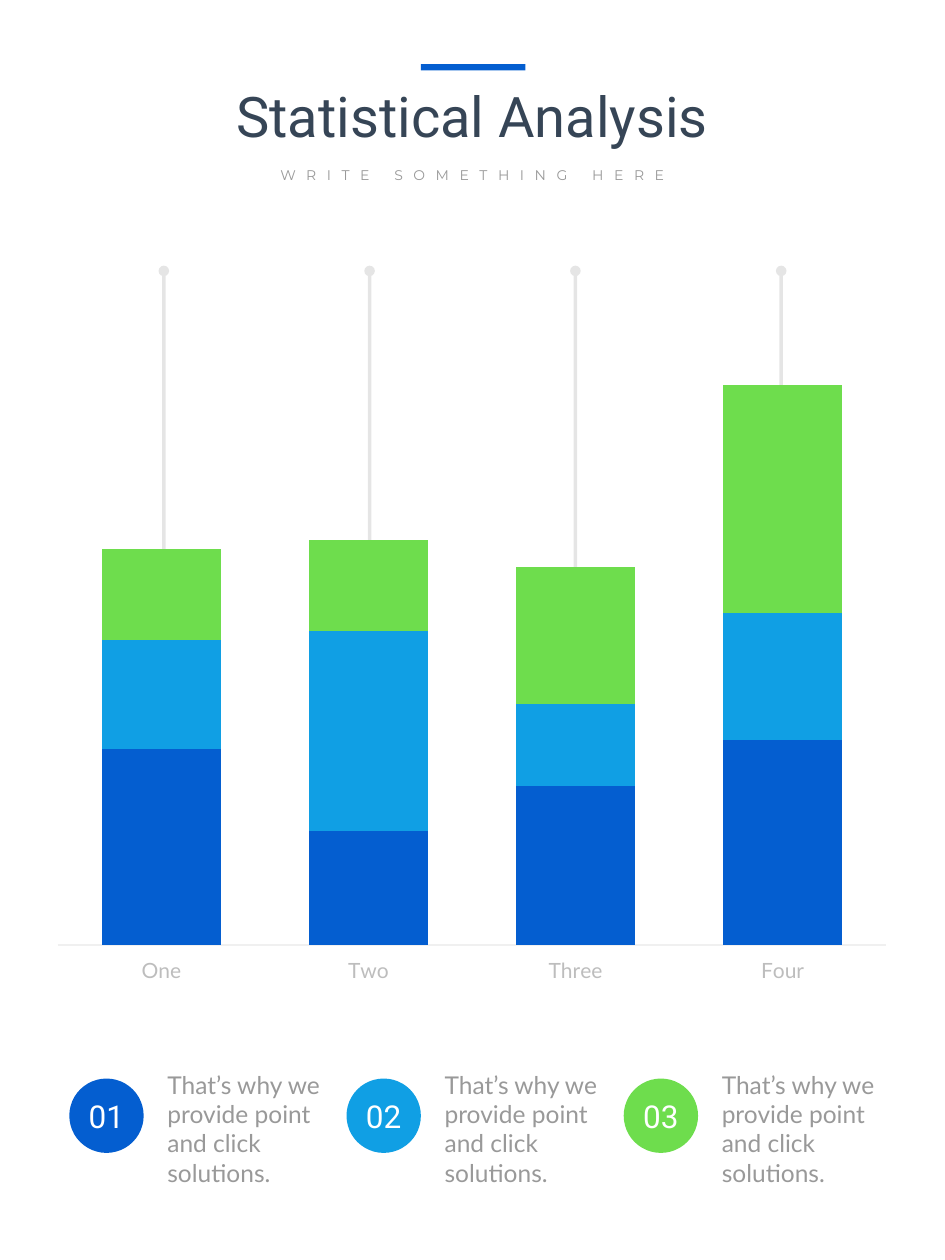
from typing import NamedTuple

from lxml import etree
from pptx import Presentation
from pptx.chart.data import CategoryChartData
from pptx.dml.color import RGBColor
from pptx.enum.chart import XL_CHART_TYPE, XL_TICK_LABEL_POSITION, XL_TICK_MARK
from pptx.enum.shapes import MSO_CONNECTOR, MSO_SHAPE
from pptx.enum.text import MSO_ANCHOR, MSO_AUTO_SIZE, PP_ALIGN
from pptx.oxml import parse_xml
from pptx.oxml.ns import nsdecls, qn
from pptx.util import Inches, Pt

STACKED = XL_CHART_TYPE.COLUMN_STACKED
NO_TICK = XL_TICK_MARK.NONE
LABELS_LOW = XL_TICK_LABEL_POSITION.LOW
STRAIGHT = MSO_CONNECTOR.STRAIGHT
RECTANGLE, OVAL = MSO_SHAPE.RECTANGLE, MSO_SHAPE.OVAL
TOP = MSO_ANCHOR.TOP
FIT_SHAPE = MSO_AUTO_SIZE.SHAPE_TO_FIT_TEXT
LEFT, CENTER = PP_ALIGN.LEFT, PP_ALIGN.CENTER

COLORS = {
    "title": "364556",
    "text": "999999",
    "label": "BDBDBD",
    "axis": "F0F0F0",
    "pin": "808080",
    "white": "FFFFFF",
    "blue": "045ED0",
    "sky": "109FE4",
    "green": "6EDD4D",
}


class Box(NamedTuple):
    left: float
    top: float
    width: float
    height: float

    def lengths(self):
        return [Inches(value) for value in self]


class TextStyle(NamedTuple):
    font: str
    size: float
    color: str
    alignment: PP_ALIGN = CENTER


class Series(NamedTuple):
    name: str
    values: tuple[int, ...]
    color: str


TITLE = TextStyle("Roboto", 32, "title")
SUBTITLE = TextStyle("Montserrat", 8, "text")
NUMBER = TextStyle("Roboto", 18, "white")
NOTE = TextStyle("Lato", 14, "text", LEFT)

CATEGORIES = ("One", "Two", "Three", "Four")
SERIES = (
    Series("Series 1", (86, 50, 70, 90), "blue"),
    Series("Series 2", (48, 88, 36, 56), "sky"),
    Series("Series 3", (40, 40, 60, 100), "green"),
)
NOTE_TEXT = "That’s why we provide point and click solutions."
FIRST_PIN, LAST_PIN = 1.3, 6.2
PIN_PITCH = (LAST_PIN - FIRST_PIN) / (len(CATEGORIES) - 1)
LEGEND_LEFT, LEGEND_PITCH = 0.55, 2.2


def rgb(name: str) -> RGBColor:
    return RGBColor.from_string(COLORS[name])


def style_font(font, style: TextStyle) -> None:
    font.name = style.font
    font.size = Pt(style.size)
    font.color.rgb = rgb(style.color)


def write_text(shape, text: str, style: TextStyle):
    frame = shape.text_frame
    frame.word_wrap = True
    frame.auto_size = FIT_SHAPE
    frame.vertical_anchor = TOP
    paragraph = frame.paragraphs[0]
    paragraph.text = text
    paragraph.alignment = style.alignment
    paragraph.space_before = Pt(0)
    style_font(paragraph.font, style)
    return paragraph


def add_text(slide, box: Box, text: str, style: TextStyle) -> None:
    write_text(slide.shapes.add_textbox(*box.lengths()), text, style)


def fill_placeholder(shape, box: Box, text: str, style: TextStyle):
    shape.left, shape.top, shape.width, shape.height = box.lengths()
    return write_text(shape, text, style)


def add_solid(slide, kind: MSO_SHAPE, box: Box, color: str) -> None:
    shape = slide.shapes.add_shape(kind, *box.lengths())
    shape.shadow.inherit = False
    shape.fill.solid()
    shape.fill.fore_color.rgb = rgb(color)
    shape.line.fill.background()


def add_pin(slide, x: float) -> None:
    """Draw a pale vertical line with a round head at its top."""
    pin = slide.shapes.add_connector(
        STRAIGHT, Inches(x), Inches(6.44), Inches(x), Inches(2.15))
    pin.line.color.rgb = rgb("pin")
    pin.line.width = Pt(2)
    properties = pin._element.spPr
    line = properties.find(qn("a:ln"))
    color = line.find(".//" + qn("a:srgbClr"))
    etree.SubElement(color, qn("a:alpha"), val="20000")
    etree.SubElement(line, qn("a:tailEnd"), type="oval")
    etree.SubElement(properties, qn("a:effectLst"))


def add_stacked_chart(slide, box: Box) -> None:
    data = CategoryChartData()
    data.categories = CATEGORIES
    for series in SERIES:
        data.add_series(series.name, series.values)
    chart = slide.shapes.add_chart(STACKED, *box.lengths(), data).chart
    chart.has_legend = False
    chart.has_title = False
    style_font(chart.font, TextStyle("Lato", 28, "text"))

    plot = chart.plots[0]
    plot.gap_width = 74
    plot.overlap = 100
    plot.vary_by_categories = False
    for drawn, series in zip(plot.series, SERIES):
        drawn.format.fill.solid()
        drawn.format.fill.fore_color.rgb = rgb(series.color)

    category_axis = chart.category_axis
    category_axis.major_tick_mark = NO_TICK
    category_axis.minor_tick_mark = NO_TICK
    category_axis.tick_label_position = LABELS_LOW
    category_axis.format.line.color.rgb = rgb("axis")
    category_axis.format.line.width = Pt(0.75)
    style_font(category_axis.tick_labels.font, TextStyle("Lato", 12, "label"))

    value_axis = chart.value_axis
    value_axis.visible = False
    value_axis.has_major_gridlines = False
    value_axis.minimum_scale = 0
    value_axis.maximum_scale = 280

    plot_area = chart._chartSpace.chart.plotArea
    for layout in plot_area.findall(qn("c:layout")):
        plot_area.remove(layout)
    plot_area.insert(0, parse_xml(
        f'<c:layout {nsdecls("c")}><c:manualLayout>'
        '<c:layoutTarget val="inner"/><c:xMode val="edge"/><c:yMode val="edge"/>'
        '<c:x val="0.019"/><c:y val="0.021"/><c:w val="0.961"/><c:h val="0.916"/>'
        '</c:manualLayout></c:layout>'))


def add_legend_item(slide, index: int, color: str) -> None:
    left = LEGEND_LEFT + index * LEGEND_PITCH
    add_solid(slide, OVAL, Box(left, 8.56, 0.59, 0.59), color)
    add_text(slide, Box(left - 0.09, 8.66, 0.77, 0.4), f"{index + 1:02d}", NUMBER)
    add_text(slide, Box(left + 0.68, 8.44, 1.41, 1.04), NOTE_TEXT, NOTE)


def main() -> None:
    presentation = Presentation()
    presentation.slide_width = Inches(7.5)
    presentation.slide_height = Inches(10)
    slide = presentation.slides.add_slide(presentation.slide_layouts[0])

    fill_placeholder(slide.shapes.title, Box(1.58, 0.6, 4.34, 0.64),
                     "Statistical Analysis", TITLE)
    subtitle = fill_placeholder(slide.placeholders[1], Box(2.04, 1.27, 3.42, 0.24),
                                "WRITE SOMETHING HERE", SUBTITLE)
    subtitle.runs[0]._r.get_or_add_rPr().set("spc", "600")
    add_solid(slide, RECTANGLE, Box(3.34, 0.51, 0.83, 0.05), "blue")

    for index in range(len(CATEGORIES)):
        add_pin(slide, FIRST_PIN + index * PIN_PITCH)
    add_stacked_chart(slide, Box(0.33, 2.33, 6.84, 5.52))
    for index, series in enumerate(SERIES):
        add_legend_item(slide, index, series.color)

    presentation.save("out.pptx")


if __name__ == "__main__":
    main()
